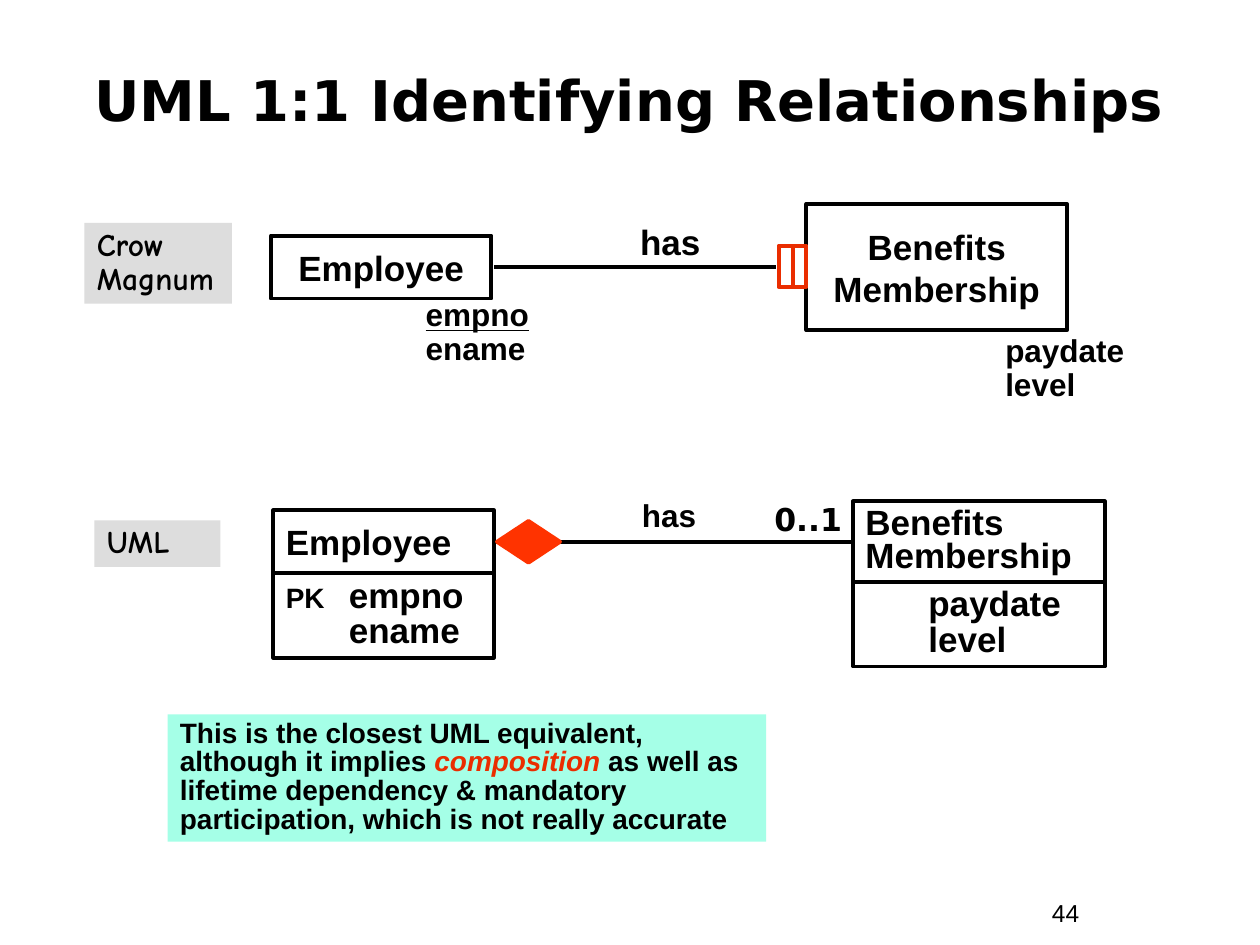
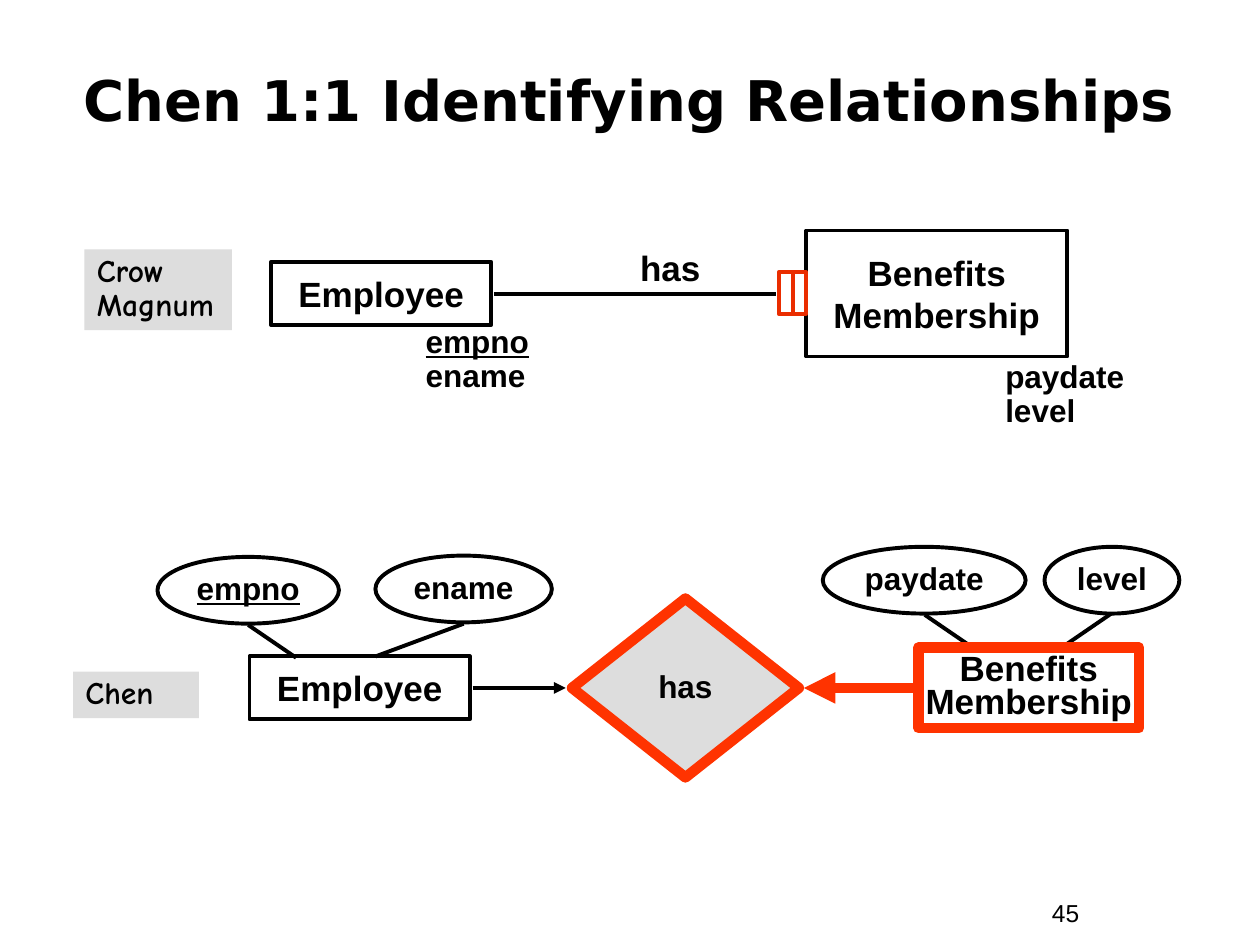
from dataclasses import dataclass, field
from typing import NamedTuple

from lxml.etree import SubElement
from pptx import Presentation
from pptx.dml.color import RGBColor
from pptx.enum.shapes import MSO_CONNECTOR as Connector, MSO_SHAPE as Preset
from pptx.enum.text import MSO_ANCHOR as Anchor, PP_ALIGN as Align
from pptx.oxml.ns import qn
from pptx.util import Inches, Pt

COLORS = {
    "ink": "000000",
    "white": "FFFFFF",
    "tag": "DDDDDD",
    "note": "A5FFE7",
    "accent": "FF3300",
    "marker": "EA2D00",
}
THIN, THICK = 2.25, 6
CROW_SHIFT = 0.21  # the Chen slide sets the upper diagram lower by this much


class Style(NamedTuple):
    """Font, paragraph and frame settings of one kind of text."""
    font: dict
    align: Align = Align.LEFT
    spacing: float = 1.0
    anchor: Anchor = Anchor.TOP
    tab: float = 0


def arial(size: int, bold: bool = True) -> dict:
    return {"name": "Arial", "size": Pt(size), "bold": bold}


def dejavu(size: int) -> dict:
    return {"name": "DejaVu Sans", "size": Pt(size), "bold": True}


COMIC = {"name": "Comic Neue", "size": Pt(18), "bold": True}
CENTER, MIDDLE = Align.CENTER, Anchor.MIDDLE

STYLES = {
    "title": Style(dejavu(32), CENTER, anchor=MIDDLE),
    "number": Style(arial(14, False)),
    "tag": Style(COMIC, spacing=0.9),
    "entity": Style(arial(20), CENTER, anchor=MIDDLE),
    "tight entity": Style(arial(20), CENTER, 0.8, MIDDLE),
    "class": Style(arial(20), anchor=MIDDLE),
    "tight class": Style(arial(20), spacing=0.8, anchor=MIDDLE),
    "members": Style(arial(20), spacing=0.85, tab=0.5),
    "attributes": Style(arial(18), spacing=0.9),
    "oval": Style(arial(18), CENTER, 0.9, MIDDLE),
    "crow role": Style(arial(20), CENTER),
    "uml role": Style(arial(18), CENTER, 0.85),
    "multiplicity": Style(dejavu(18), CENTER),
    "note": Style(arial(16), spacing=0.85),
}


@dataclass
class Span:
    text: str
    format: dict = field(default_factory=dict)
    color: str = "ink"


@dataclass
class Box:
    """A shape or text; each paragraph is a list of spans."""
    left: float
    top: float
    width: float
    height: float
    paragraphs: list = field(default_factory=list)
    style: str = "entity"
    preset: Preset = Preset.RECTANGLE
    fill: str = ""
    line: str = ""
    weight: float = THIN
    rotation: float = 0


@dataclass
class Link:
    start: tuple
    end: tuple
    color: str = "ink"
    weight: float = THIN
    arrow: bool = False


def rgb(color: str) -> RGBColor:
    return RGBColor.from_string(COLORS[color])


def plain(*texts: str) -> list:
    """One paragraph for each text; a newline is a line break."""
    return [[Span(text)] for text in texts]


def write(frame, paragraphs: list, style: Style) -> None:
    settings = {
        "word_wrap": style.align != CENTER,
        "vertical_anchor": style.anchor,
        "margin_left": Inches(0.1),
        "margin_right": Inches(0.1),
        "margin_top": Inches(0.05),
        "margin_bottom": Inches(0.05),
    }
    for name, value in settings.items():
        setattr(frame, name, value)
    for index, spans in enumerate(paragraphs):
        para = frame.add_paragraph() if index else frame.paragraphs[0]
        para.alignment = style.align
        para.line_spacing = style.spacing
        if style.tab:
            tabs = SubElement(para._p.get_or_add_pPr(), qn("a:tabLst"))
            SubElement(tabs, qn("a:tab"), pos=str(Inches(style.tab)), algn="l")
        for span in spans:
            for row, text in enumerate(span.text.split("\n")):
                if row:
                    para.add_line_break()
                run = para.add_run()
                run.text = text
                for name, value in {**style.font, **span.format}.items():
                    setattr(run.font, name, value)
                run.font.color.rgb = rgb(span.color)


def draw_box(page, box: Box) -> None:
    place = [Inches(x) for x in (box.left, box.top, box.width, box.height)]
    if box.fill or box.line:
        shape = page.shapes.add_shape(box.preset, *place)
        shape.shadow.inherit = False
        shape.rotation = box.rotation
        if box.fill:
            shape.fill.solid()
            shape.fill.fore_color.rgb = rgb(box.fill)
        else:
            shape.fill.background()
        if box.line:
            shape.line.color.rgb = rgb(box.line)
            shape.line.width = Pt(box.weight)
        else:
            shape.line.fill.background()
    else:
        shape = page.shapes.add_textbox(*place)
    if box.paragraphs:
        write(shape.text_frame, box.paragraphs, STYLES[box.style])


def draw_link(page, link: Link) -> None:
    ends = [Inches(x) for x in (*link.start, *link.end)]
    connector = page.shapes.add_connector(Connector.STRAIGHT, *ends)
    connector.line.color.rgb = rgb(link.color)
    connector.line.width = Pt(link.weight)
    if link.arrow:
        SubElement(connector.line._get_or_add_ln(), qn("a:tailEnd"), type="triangle")
    SubElement(connector._element.spPr, qn("a:effectLst"))


def draw(page, *items) -> None:
    for item in items:
        if isinstance(item, Link):
            draw_link(page, item)
        else:
            draw_box(page, item)


def tag(left: float, top: float, text: str, width: float = 1, height: float = 0.37) -> Box:
    return Box(left, top, width, height, plain(text), "tag", fill="tag")


def frame_box(left: float, top: float, width: float, height: float,
              paragraphs: list, style: str = "entity") -> Box:
    return Box(left, top, width, height, paragraphs, style, line="ink")


def oval(left: float, top: float, width: float, text: str, **format) -> Box:
    return Box(left, top, width, 0.53, [[Span(text, format)]], "oval",
               Preset.OVAL, "white", "ink")


def add_page(deck, title: str, number: int):
    page = deck.slides.add_slide(deck.slide_layouts[6])
    draw(page,
         Box(8.25, 7.08, 0.92, 0.34, plain(str(number)), "number"),
         Box(0.33, 0.33, 9.33, 0.92, plain(title), "title"))
    return page


def draw_crow_magnum(page, shift: float = 0) -> None:
    keyed = [[Span("empno", {"underline": True})], [Span("ename")]]
    draw(page,
         tag(0.67, 1.77 + shift, "Crow\nMagnum", 1.17, 0.64),
         frame_box(2.15, 1.87 + shift, 1.75, 0.5, plain("Employee")),
         frame_box(6.4, 1.62 + shift, 2.07, 1, plain("Benefits\nMembership")),
         Link((3.92, 2.12 + shift), (6.16, 2.12 + shift)),
         Box(4.98, 1.7 + shift, 0.68, 0.44, plain("has"), "crow role"),
         Box(3.28, 2.33 + shift, 1.21, 0.64, keyed, "attributes"),
         Box(7.88, 2.61 + shift, 1.21, 0.64, plain("paydate", "level"), "attributes"),
         *(Box(left, 1.95 + shift, 0.11, 0.33, line="marker") for left in (6.29, 6.18)))


def draw_uml(page) -> None:
    employee_members = [[Span("PK", {"size": Pt(16)}), Span("\tempno")], [Span("\tename")]]
    note = [[
        Span("This is the closest UML equivalent, although it implies "),
        Span("composition", {"italic": True}, "marker"),
        Span(" as well as lifetime dependency & mandatory participation, "
             "which is not really accurate"),
    ]]
    draw(page,
         tag(0.75, 4.13, "UML"),
         frame_box(2.17, 4.05, 1.75, 0.5, plain("Employee"), "class"),
         frame_box(2.17, 4.55, 1.75, 0.67, employee_members, "members"),
         frame_box(6.77, 3.98, 2, 0.64, plain("Benefits\nMembership"), "tight class"),
         frame_box(6.77, 4.62, 2, 0.67, plain("\tpaydate", "\tlevel"), "members"),
         Link((3.93, 4.3), (6.76, 4.3)),
         Box(4.68, 3.93, 1.26, 0.36, plain("has"), "uml role"),
         Box(6, 3.92, 0.83, 0.4, plain("0..1"), "multiplicity"),
         Box(4.03, 4.05, 0.33, 0.5, preset=Preset.FLOWCHART_SORT,
             fill="accent", line="accent", rotation=270),
         Box(1.33, 5.67, 4.75, 1.01, note, "note", fill="note"))


def draw_chen(page) -> None:
    draw(page,
         tag(0.58, 5.33, "Chen"),
         oval(1.25, 4.42, 1.44, "empno", underline=True),
         oval(2.98, 4.41, 1.4, "ename"),
         oval(6.53, 4.34, 1.61, "paydate"),
         oval(8.29, 4.34, 1.07, "level"),
         Link((1.97, 4.96), (2.35, 5.22)),
         Link((3.68, 4.95), (2.98, 5.21)),
         Link((7.34, 4.88), (7.72, 5.14)),
         Link((8.82, 4.87), (8.44, 5.13)),
         frame_box(1.98, 5.21, 1.75, 0.5, plain("Employee")),
         Box(7.29, 5.14, 1.75, 0.64, plain("Benefits\nMembership"), "tight entity",
             line="accent", weight=THICK),
         Link((3.75, 5.46), (4.49, 5.46), arrow=True),
         Box(4.54, 4.75, 1.8, 1.42, plain("has"), "oval", Preset.FLOWCHART_DECISION,
             "tag", "accent", THICK),
         Link((7.25, 5.46), (6.38, 5.46), "accent", THICK, True))


def main() -> None:
    deck = Presentation()
    deck.slide_width, deck.slide_height = Inches(10), Inches(7.5)

    uml_page = add_page(deck, "UML 1:1 Identifying Relationships", 44)
    draw_crow_magnum(uml_page)
    draw_uml(uml_page)

    chen_page = add_page(deck, "Chen 1:1 Identifying Relationships", 45)
    draw_crow_magnum(chen_page, CROW_SHIFT)
    draw_chen(chen_page)

    deck.save("out.pptx")


if __name__ == "__main__":
    main()
